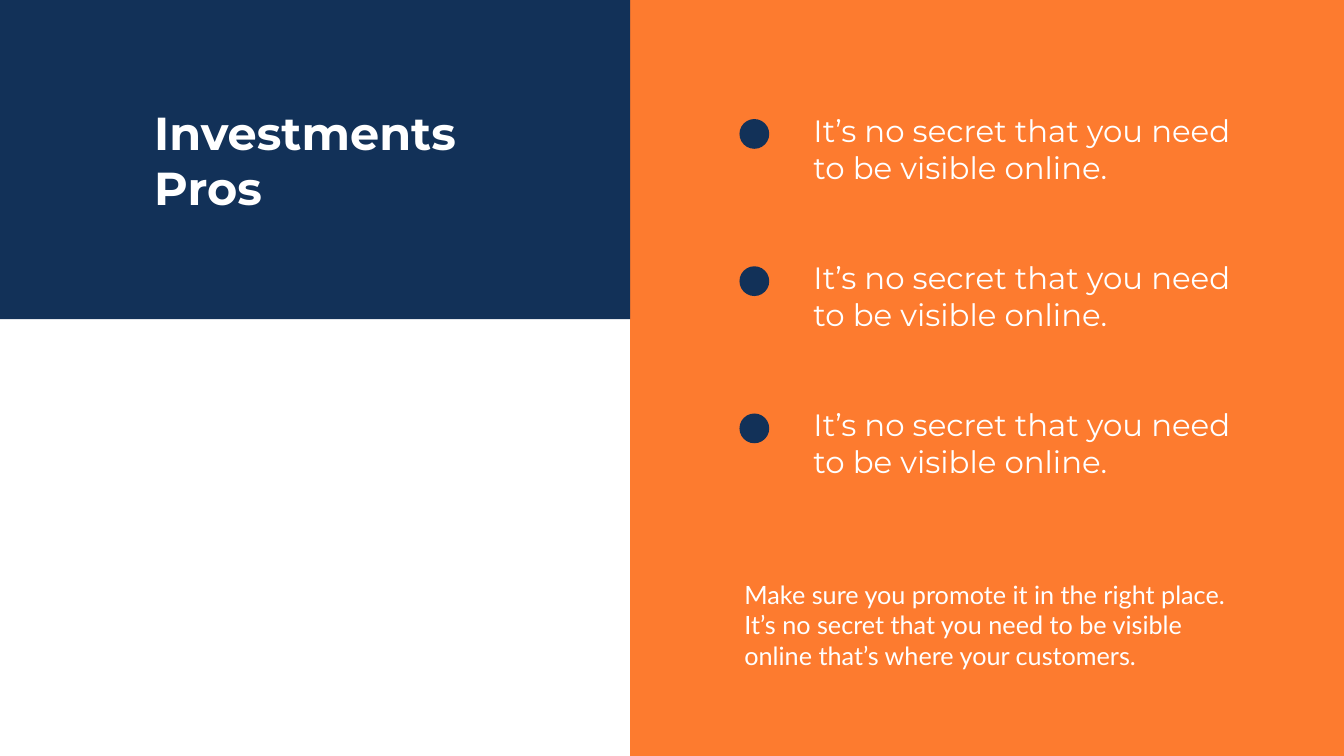
import pptx
import pptx.util
import pptx.dml.color
import pptx.enum.shapes
import pptx.enum.text

Cm = pptx.util.Cm
SHAPES = pptx.enum.shapes.MSO_SHAPE

# Content
title = "Investments Pros"
benefits = ["It’s no secret that you need to be visible online."] * 3
closing = ("Make sure you promote it in the right place. It’s no secret that "
           "you need to be visible online that’s where your customers.")

COLOURS = {"navy": "123158", "orange": "FD7B2F", "white": "FFFFFF"}

# Layout in centimetres
slide_width, slide_height = 67.72, 38.1
split_x, title_panel_height = 31.75, 16.08
bullet_x, bullet_size, bullet_drop = 37.26, 1.5, 0.51
benefit_x, benefit_top, benefit_pitch = 40.74, 5.49, 7.42

deck = pptx.Presentation()
deck.slide_width, deck.slide_height = Cm(slide_width), Cm(slide_height)
slide = deck.slides.add_slide(deck.slide_layouts[6])


def colour(name):
    return pptx.dml.color.RGBColor.from_string(COLOURS[name])


def add_block(preset, left, top, width, height, fill):
    block = slide.shapes.add_shape(preset, Cm(left), Cm(top), Cm(width), Cm(height))
    block.shadow.inherit = False
    block.fill.solid()
    block.fill.fore_color.rgb = colour(fill)
    block.line.fill.background()


def add_text(text, left, top, width, height, *, size, font="Montserrat", bold=False):
    box = slide.shapes.add_textbox(Cm(left), Cm(top), Cm(width), Cm(height))
    frame = box.text_frame
    frame.word_wrap = True
    frame.auto_size = pptx.enum.text.MSO_AUTO_SIZE.SHAPE_TO_FIT_TEXT
    run = frame.paragraphs[0].add_run()
    run.text = text
    run.font.name = font
    run.font.size = pptx.util.Pt(size)
    run.font.bold = bold
    run.font.color.rgb = colour("white")


# Panels
add_block(SHAPES.RECTANGLE, split_x, 0, slide_width - split_x, slide_height, "orange")
add_block(SHAPES.RECTANGLE, 0, 0, split_x, title_panel_height, "navy")

# Closing note and title
add_text(closing, bullet_x, 29.08, 24.94, 4.88, size=36, font="Lato")
add_text(title, 7.52, 5.11, 16.74, 5.89, size=66, bold=True)

# Benefits with round bullets
for row, benefit in enumerate(benefits):
    top = benefit_top + row * benefit_pitch
    add_text(benefit, benefit_x, top, 22.76, 4.01, size=44)
    add_block(SHAPES.OVAL, bullet_x, top + bullet_drop, bullet_size, bullet_size, "navy")

deck.save("out.pptx")
